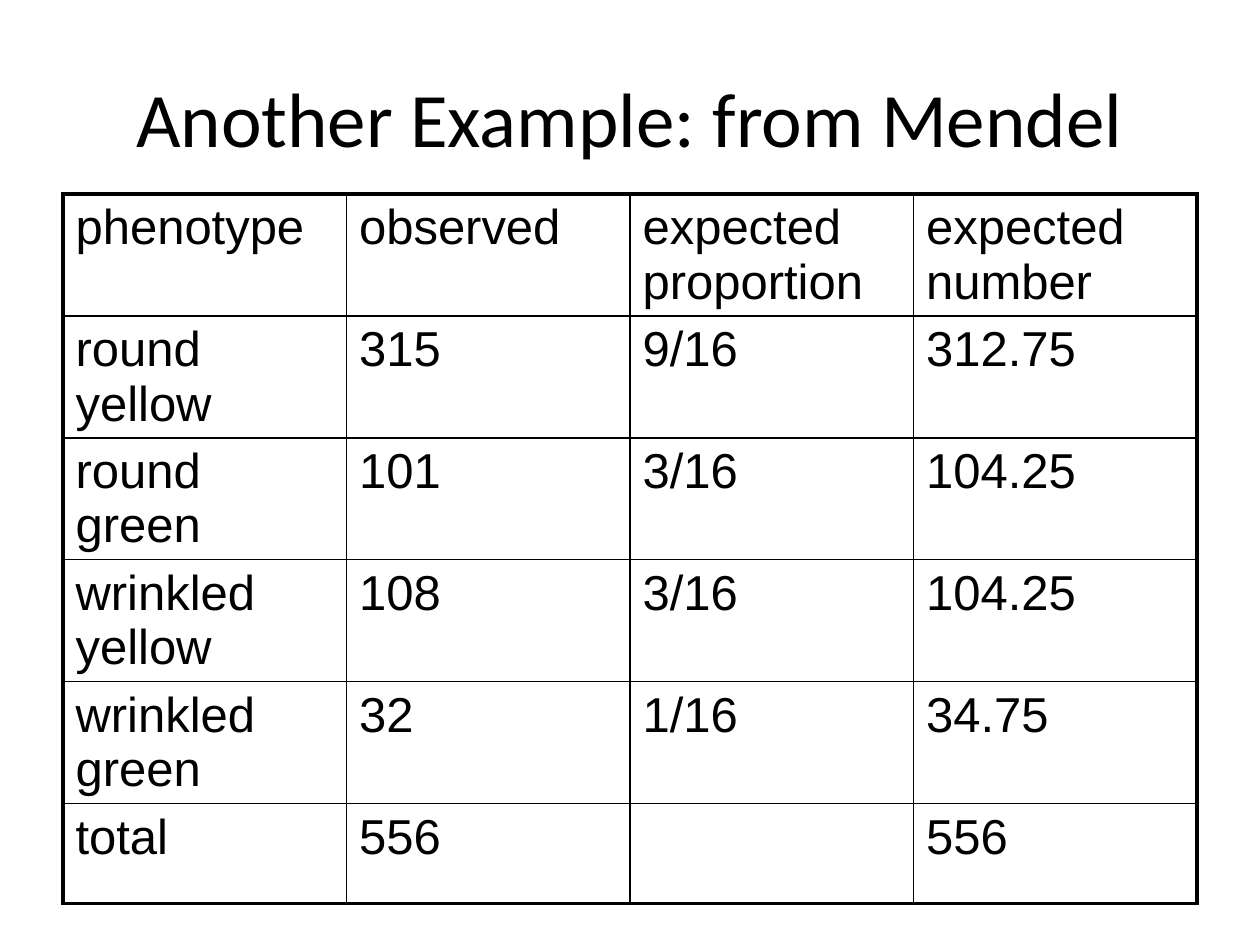
from dataclasses import dataclass
from lxml.etree import SubElement as Sub
from pptx import Presentation
from pptx.dml.color import RGBColor as Rgb
from pptx.enum.text import MSO_ANCHOR as Anchor, PP_ALIGN as Align
from pptx.oxml.ns import qn
from pptx.util import Emu, Pt

SCALE = 914400 / 126
COLORS = {"ink": "000000"}
THIN, THICK = 1, 2.25
HEADS = ("phenotype", "observed", "expected proportion", "expected number")


@dataclass
class Box:
    left: int
    top: int
    width: int
    height: int


@dataclass
class Trait:
    name: str
    seen: str
    share: str
    count: str

    def cells(self) -> tuple[str, ...]:
        return self.name, self.seen, self.share, self.count


TRAITS = [
    Trait("round yellow", "315", "9/16", "312.75"),
    Trait("round green", "101", "3/16", "104.25"),
    Trait("wrinkled yellow", "108", "3/16", "104.25"),
    Trait("wrinkled green", "32", "1/16", "34.75"),
    Trait("total", "556", "", "556"),
]


def px(count: int) -> Emu:
    return Emu(round(count * SCALE))


def place(shape, box: Box) -> None:
    shape.left, shape.top = px(box.left), px(box.top)
    shape.width, shape.height = px(box.width), px(box.height)


def add_run(para, text: str, size: int, face: str) -> None:
    run = para.add_run()
    run.text = text
    run.font.size = Pt(size)
    run.font.name = face
    run.font.color.rgb = Rgb.from_string(COLORS["ink"])


def draw_title(slide, text: str, box: Box) -> None:
    title = slide.shapes.title
    place(title, box)
    frame = title.text_frame
    frame.vertical_anchor = Anchor.MIDDLE
    para = frame.paragraphs[0]
    para.alignment = Align.CENTER
    add_run(para, text, 44, "Calibri")


def set_edge(cell, side: str, width: float) -> None:
    props = cell._tc.get_or_add_tcPr()
    line = Sub(props, qn(f"a:ln{side}"), w=str(Pt(width)))
    fill = Sub(line, qn("a:solidFill"))
    Sub(fill, qn("a:srgbClr"), val=COLORS["ink"])


def fill_cell(cell, text: str, outer: dict[str, bool]) -> None:
    for side, edge in outer.items():
        set_edge(cell, side, THICK if edge else THIN)
    cell.fill.background()
    para = cell.text_frame.paragraphs[0]
    space = Sub(para._p.get_or_add_pPr(), qn("a:spcBef"))
    Sub(space, qn("a:spcPct"), val="20000")
    if text:
        add_run(para, text, 28, "Arial")


def draw_table(slide, rows: list[tuple[str, ...]], box: Box) -> None:
    last, end = len(rows) - 1, len(rows[0]) - 1
    frame = slide.shapes.add_table(
        len(rows), len(rows[0]),
        px(box.left), px(box.top), px(box.width), px(box.height))
    table = frame.table
    table.first_row = table.horz_banding = False
    for i, row in enumerate(rows):
        table.rows[i].height = px(100 if i == last else 104)
        for j, text in enumerate(row):
            outer = {"L": j == 0, "R": j == end, "T": i == 0, "B": i == last}
            fill_cell(table.cell(i, j), text, outer)
    frame.height = px(box.height)


def main() -> None:
    deck = Presentation()
    deck.slide_width, deck.slide_height = px(1260), px(945)
    slide = deck.slides.add_slide(deck.slide_layouts[5])
    draw_title(slide, "Another Example: from Mendel", Box(63, 38, 1134, 157))
    rows = [HEADS] + [trait.cells() for trait in TRAITS]
    draw_table(slide, rows, Box(63, 194, 1134, 751))
    deck.save("out.pptx")


if __name__ == "__main__":
    main()
